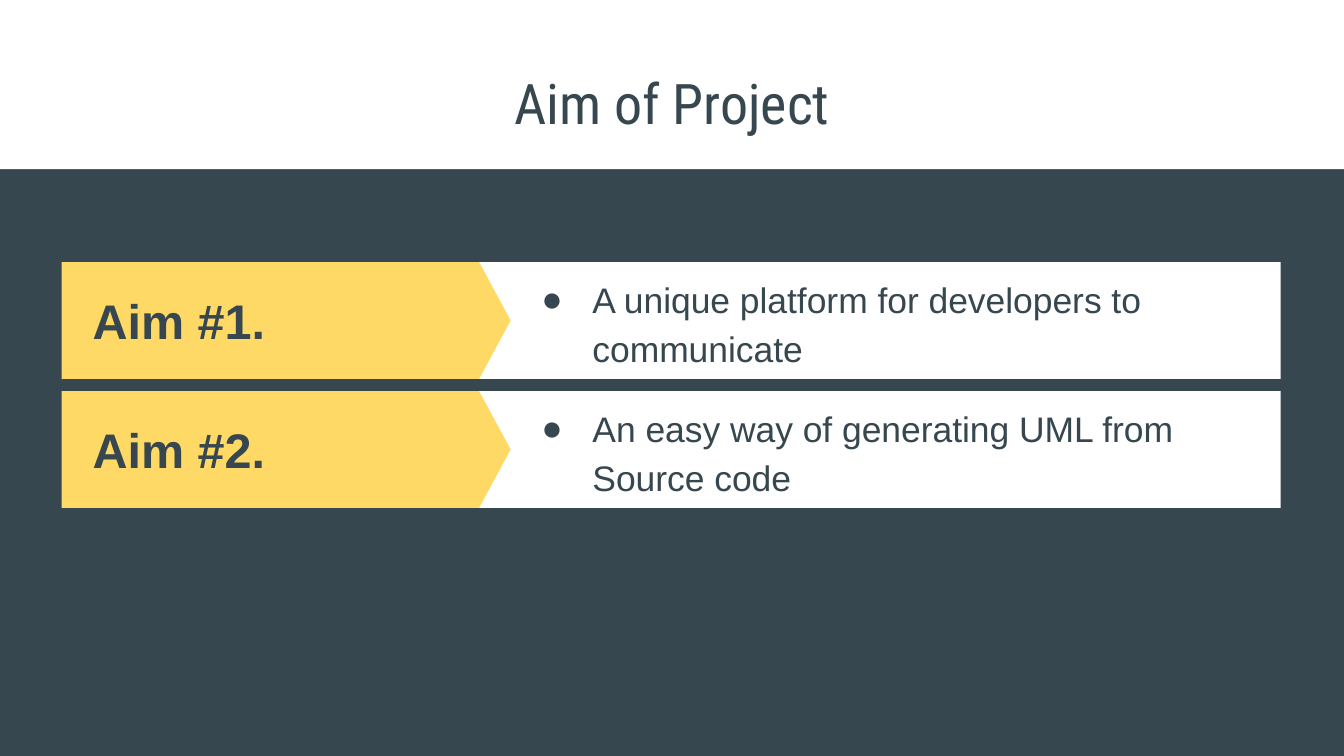
import pptx
import pptx.dml.color
import pptx.enum.shapes
import pptx.enum.text
import pptx.oxml.ns
import pptx.util
from lxml import etree

Inches = pptx.util.Inches
Shape = pptx.enum.shapes.MSO_SHAPE
Anchor = pptx.enum.text.MSO_ANCHOR
SLATE = pptx.dml.color.RGBColor(0x37, 0x47, 0x4F)
YELLOW = pptx.dml.color.RGBColor(0xFF, 0xD9, 0x66)
WHITE = pptx.dml.color.RGBColor(0xFF, 0xFF, 0xFF)

SLIDE_WIDTH = 10
SLIDE_HEIGHT = SLIDE_WIDTH * 9 / 16
ROW_TOP, ROW_HEIGHT, ROW_STEP = 1.95, 0.87, 0.96
AIMS = [
    "A unique platform for developers to communicate",
    "An easy way of generating UML from Source code",
]

deck = pptx.Presentation()
deck.slide_width, deck.slide_height = Inches(SLIDE_WIDTH), Inches(SLIDE_HEIGHT)
page = deck.slides.add_slide(deck.slide_layouts[6])
page.background.fill.solid()
page.background.fill.fore_color.rgb = SLATE


def add_panel(kind, left, top, width, height, color):
    panel = page.shapes.add_shape(kind, *map(Inches, (left, top, width, height)))
    panel.shadow.inherit = False
    panel.fill.solid()
    panel.fill.fore_color.rgb = color
    panel.line.fill.background()
    return panel


def add_text(text, left, top, width, height, size, name="Arial", bold=False,
             anchor=Anchor.MIDDLE, bullet=None):
    """Add a one-paragraph slate text box and return its paragraph."""
    box = page.shapes.add_textbox(*map(Inches, (left, top, width, height)))
    frame = box.text_frame
    frame.word_wrap = True
    frame.vertical_anchor = anchor
    frame.margin_left = frame.margin_right = Inches(0.1)
    frame.margin_top = frame.margin_bottom = Inches(0.1)
    para = frame.paragraphs[0]
    para.text = text
    if bullet:
        para.line_spacing = 1.15
        properties = para._p.get_or_add_pPr()
        properties.set("marL", str(Inches(0.5)))
        properties.set("indent", str(Inches(-0.38)))
        for tag, key, value in (("a:buFont", "typeface", name),
                                ("a:buChar", "char", bullet)):
            etree.SubElement(properties, pptx.oxml.ns.qn(tag)).set(key, value)
    para.font.name = name
    para.font.size = pptx.util.Pt(size)
    para.font.bold = bold
    para.font.color.rgb = SLATE
    return para


add_panel(Shape.RECTANGLE, 0, 0, 10.02, 1.26, WHITE)
title = add_text("Aim of Project", 0.34, 0.41, 9.32, 0.8, 30,
                 name="Roboto Condensed", anchor=Anchor.TOP)
title.alignment = pptx.enum.text.PP_ALIGN.CENTER

for row, aim in enumerate(AIMS):
    top = ROW_TOP + row * ROW_STEP
    add_panel(Shape.RECTANGLE, 3.2, top, 6.33, ROW_HEIGHT, WHITE)
    arrow = add_panel(Shape.PENTAGON, 0.46, top, 3.34, ROW_HEIGHT, YELLOW)
    arrow.adjustments[0] = 0.27
    add_text(f"Aim #{row + 1}.", 0.59, top, 2.65, ROW_HEIGHT, 26, bold=True)
    add_text(aim, 3.81, top, 5.59, ROW_HEIGHT, 19, bullet="●")

deck.save("out.pptx")
